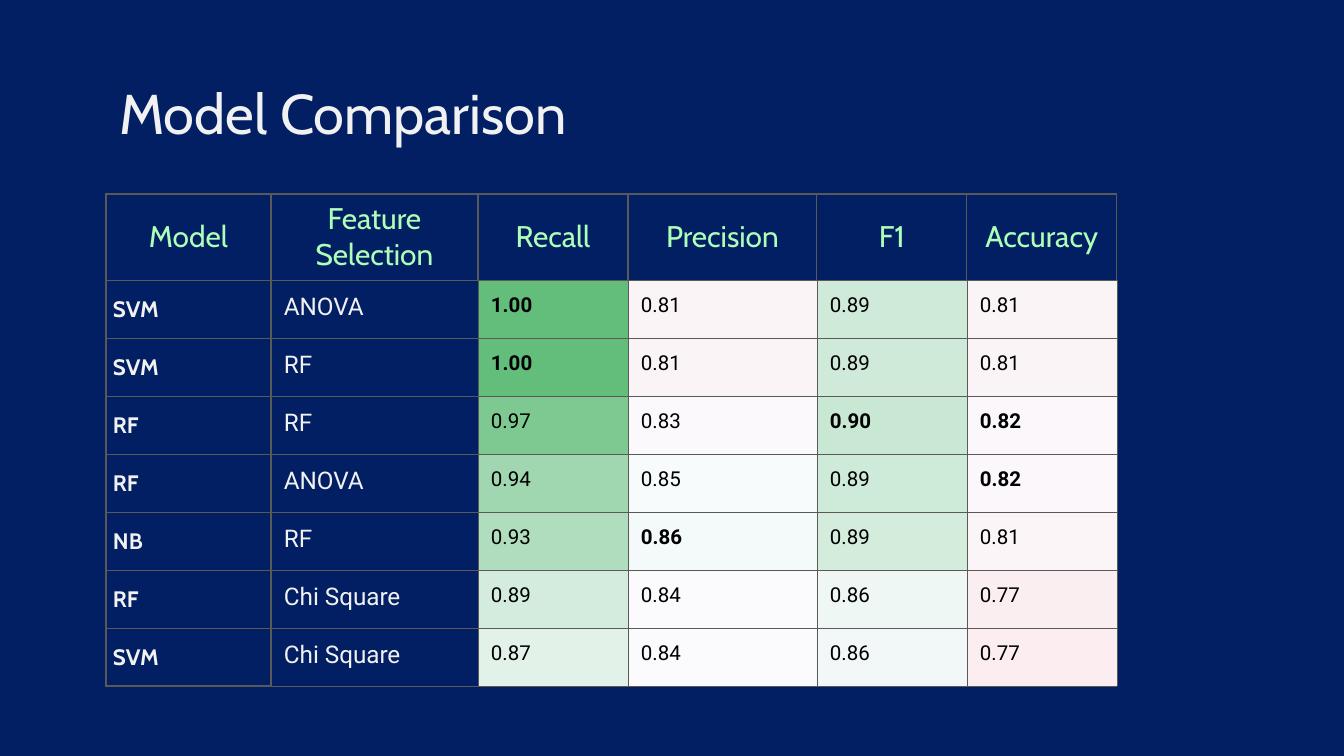
from lxml.etree import SubElement
from pptx import Presentation
from pptx.dml.color import RGBColor
from pptx.enum.text import MSO_ANCHOR, PP_ALIGN
from pptx.oxml.ns import qn
from pptx.util import Pt

PX = 914400 / 134.4  # EMU in one px
COLORS = {"back": "021F64", "light": "F1F1F1", "mint": "ADFFB7",
          "ink": "000000", "rule": "595959"}
THICK, THIN = Pt(0.75), Pt(0.38)

HEADERS = ["Model", "Feature Selection", "Recall", "Precision", "F1", "Accuracy"]
ROWS = [
    ("SVM", "ANOVA", "1.00", "0.81", "0.89", "0.81"),
    ("SVM", "RF", "1.00", "0.81", "0.89", "0.81"),
    ("RF", "RF", "0.97", "0.83", "0.90", "0.82"),
    ("RF", "ANOVA", "0.94", "0.85", "0.89", "0.82"),
    ("NB", "RF", "0.93", "0.86", "0.89", "0.81"),
    ("RF", "Chi Square", "0.89", "0.84", "0.86", "0.77"),
    ("SVM", "Chi Square", "0.87", "0.84", "0.86", "0.77"),
]
HEAT = [  # fills of the four score columns
    ("63BE7B", "FBF4F7", "CFEAD8", "FBF4F7"),
    ("63BE7B", "FBF4F7", "CFEAD8", "FBF4F7"),
    ("7EC992", "FBF9FC", "C9E8D3", "FBF7FA"),
    ("A0D7B0", "F8FBFC", "CEEAD8", "FBF7FA"),
    ("AFDDBD", "F4F9F9", "D3ECDC", "FBF5F8"),
    ("D4ECDD", "FBFAFD", "EEF7F3", "FBEEF1"),
    ("E2F2E9", "FBFAFD", "F2F8F7", "FBEDF0"),
]
BEST = [max(col) for col in zip(*ROWS)]
COL_WIDTHS = [165, 207, 150, 189, 150, 150]
HEADER_H, ROW_H = 78, 58


def px(n):
    return round(n * PX)


def format_cell(cell, text, font, size, color, bold, inset, widths, fill=None):
    """Fill one cell; widths are its left, right, top and bottom borders."""
    cell.text = text
    f = cell.text_frame.paragraphs[0].font
    f.name, f.size, f.bold = font, Pt(size), bold
    f.color.rgb = RGBColor.from_string(COLORS[color])
    cell.margin_left = cell.margin_right = px(inset)
    cell.margin_top = cell.margin_bottom = px(inset)
    tc_pr = cell._tc.get_or_add_tcPr()
    for side, width in zip("LRTB", widths):
        ln = SubElement(tc_pr, qn("a:ln" + side), w=str(width))
        solid = SubElement(ln, qn("a:solidFill"))
        SubElement(solid, qn("a:srgbClr"), val=COLORS["rule"])
    if fill:
        cell.fill.solid()
        cell.fill.fore_color.rgb = RGBColor.from_string(fill)
    else:
        cell.fill.background()


prs = Presentation()
prs.slide_width, prs.slide_height = px(1344), px(756)
s = prs.slides.add_slide(prs.slide_layouts[5])
s.background.fill.solid()
s.background.fill.fore_color.rgb = RGBColor.from_string(COLORS["back"])

title = s.shapes.title
title.left, title.top, title.width, title.height = px(106), px(66), px(1133), px(85)
tf = title.text_frame
tf.text = "Model Comparison"
tf.vertical_anchor = MSO_ANCHOR.TOP
tf.margin_left = tf.margin_right = tf.margin_top = tf.margin_bottom = px(13)
p = tf.paragraphs[0]
p.alignment = PP_ALIGN.LEFT
p.font.name, p.font.size = "Cabin", Pt(30)
p.font.color.rgb = RGBColor.from_string(COLORS["light"])

table = s.shapes.add_table(
    len(ROWS) + 1, len(HEADERS), px(106), px(194),
    px(sum(COL_WIDTHS)), px(HEADER_H + ROW_H * len(ROWS))).table
table.first_row = table.horz_banding = False
for col, width in zip(table.columns, COL_WIDTHS):
    col.width = px(width)
for i, row in enumerate(table.rows):
    row.height = px(ROW_H if i else HEADER_H)

for c, header in enumerate(HEADERS):
    cell = table.cell(0, c)
    format_cell(cell, header, "Cabin", 16, "mint", False, 7,
                [THICK] * 3 + [THIN if c else THICK])
    cell.vertical_anchor = MSO_ANCHOR.MIDDLE
    cell.text_frame.paragraphs[0].alignment = PP_ALIGN.CENTER

for r, (row, fills) in enumerate(zip(ROWS, HEAT), start=1):
    model, feature, *scores = row
    cell = table.cell(r, 0)
    format_cell(cell, model, "Cabin", 12, "light", True, 7, [THICK] * 4)
    cell.vertical_anchor = MSO_ANCHOR.MIDDLE
    format_cell(table.cell(r, 1), feature, "Roboto", 13, "light", False, 13,
                [THICK] + [THIN] * 3)
    for c, (score, fill) in enumerate(zip(scores, fills), start=2):
        format_cell(table.cell(r, c), score, "Roboto", 11, "ink",
                    score == BEST[c], 13, [THIN] * 4, fill)

prs.save("out.pptx")
